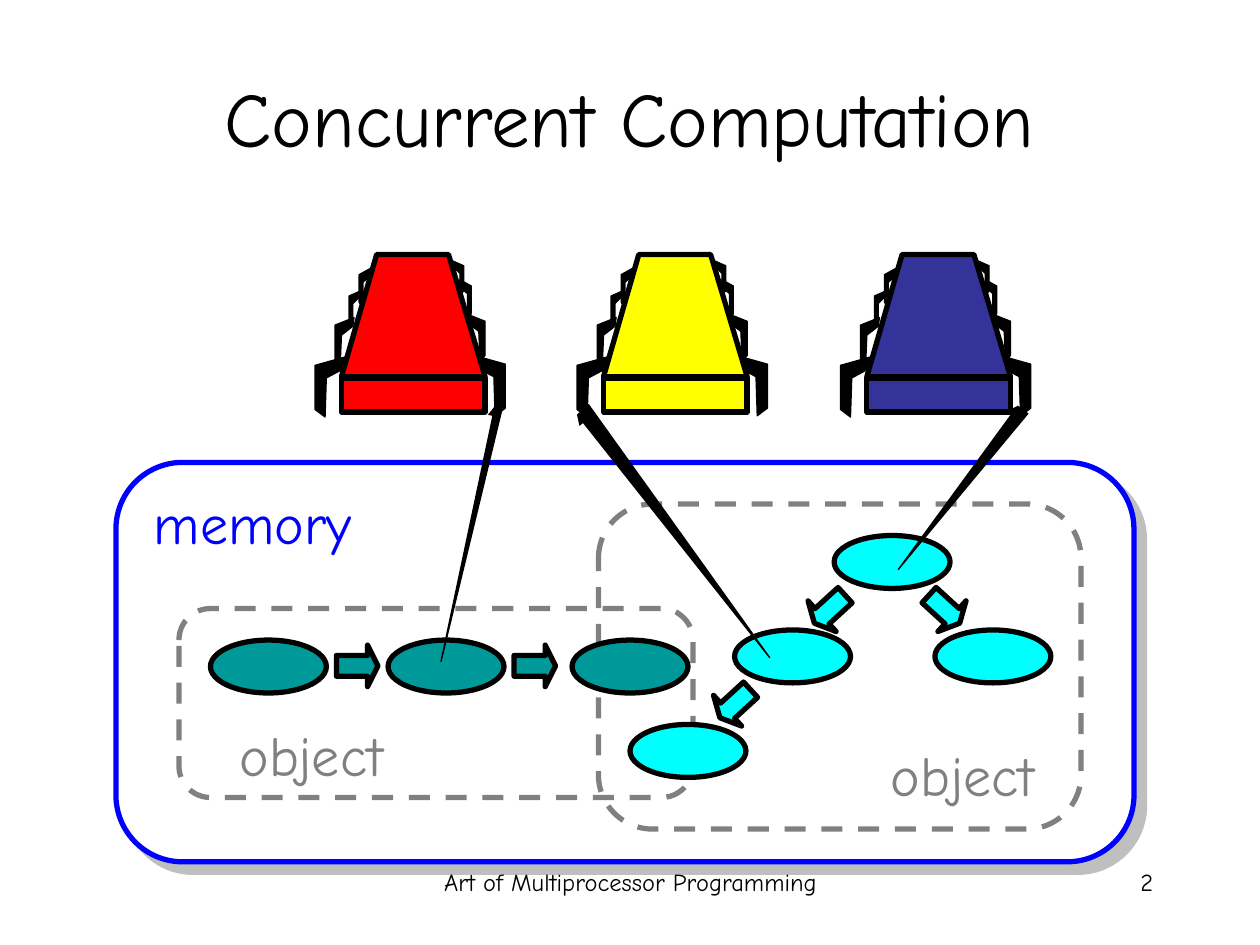
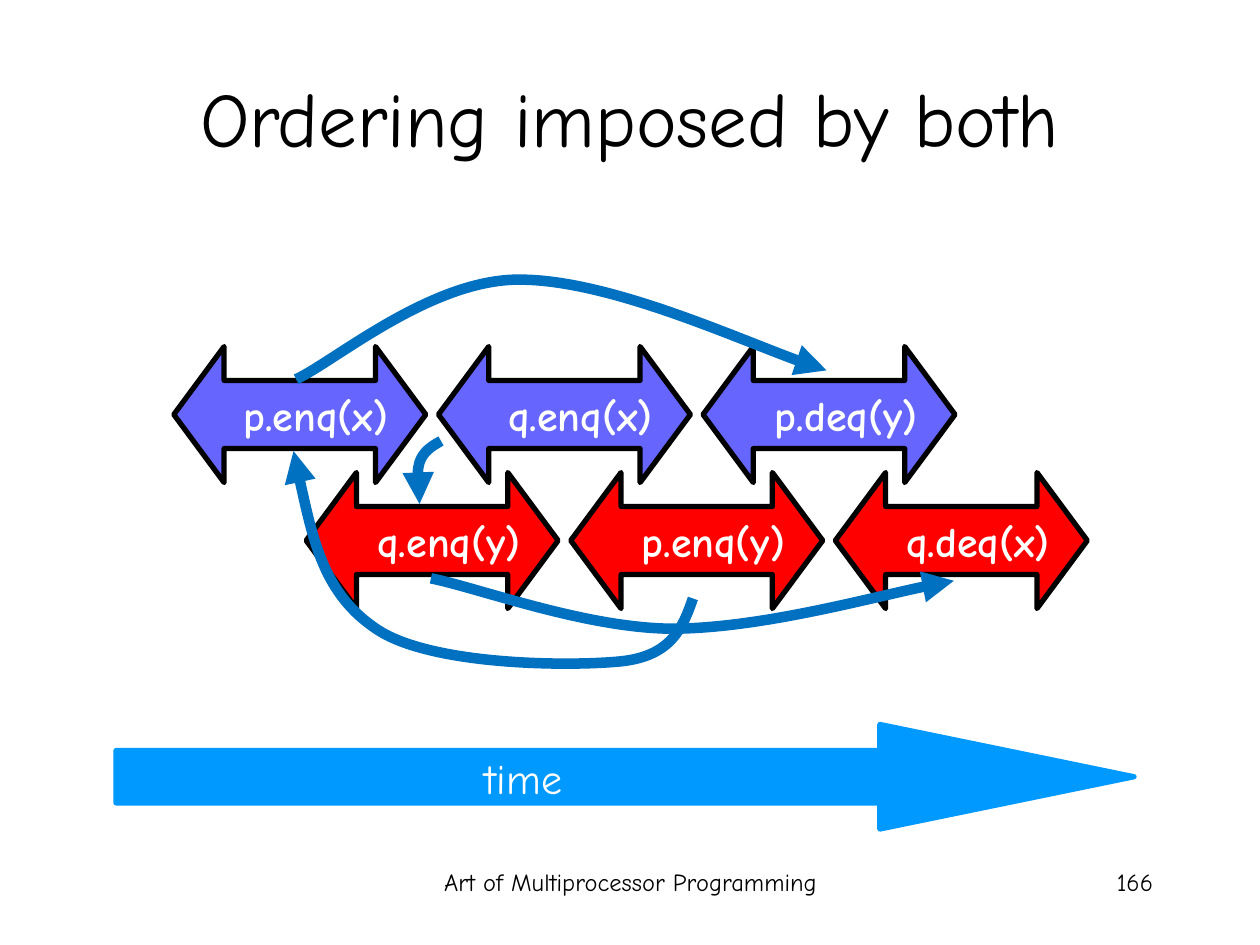
from lxml.etree import SubElement
from pptx import Presentation
from pptx.dml.color import RGBColor
from pptx.enum.dml import MSO_LINE
from pptx.enum.shapes import MSO_SHAPE as Shape
from pptx.enum.text import MSO_ANCHOR as Anchor, PP_ALIGN as Align
from pptx.oxml.ns import qn
from pptx.util import Inches, Pt

FONT = "Comic Neue"
BLACK, WHITE, GRAY = "000000", "FFFFFF", "808080"
RED, TEAL, CYAN = "FF0000", "009999", "00FFFF"


def style(shape, fill, line, width=3):
    """Set fill (None for no fill) and outline, and switch off the theme shadow."""
    shape.shadow.inherit = False
    if fill:
        shape.fill.solid()
        shape.fill.fore_color.rgb = RGBColor.from_string(fill)
    else:
        shape.fill.background()
    shape.line.color.rgb = RGBColor.from_string(line)
    shape.line.width = Pt(width)


def write(shape, text, size, color, align, wrap=False, bold=False):
    tf = shape.text_frame
    tf.word_wrap = wrap
    p = tf.paragraphs[0]
    p.text = text
    p.alignment = align
    p.font.name, p.font.size, p.font.bold = FONT, Pt(size), bold
    p.font.color.rgb = RGBColor.from_string(color)


prs = Presentation()
prs.slide_width, prs.slide_height = Inches(10), Inches(7.5)

# Title, footer and number of both slides
for title, number in (("Concurrent Computation", "2"), ("Ordering imposed by both", "166")):
    s = prs.slides.add_slide(prs.slide_layouts[5])
    sp = s.shapes.title
    sp.left, sp.top, sp.width, sp.height = map(Inches, (0.5, 0.3, 9, 1.25))
    sp.text_frame.vertical_anchor = Anchor.MIDDLE
    write(sp, title, 44, BLACK, Align.CENTER, wrap=True)
    for text, left, width, align in (
        ("Art of Multiprocessor Programming", 3.42, 3.17, Align.CENTER),
        (number, 7.17, 2.08, Align.RIGHT),
    ):
        sp = s.shapes.add_textbox(*map(Inches, (left, 6.83, width, 0.5)))
        write(sp, text, 14, BLACK, align, wrap=True)

# Slide 1: memory with two overlapping objects
shapes = prs.slides[0].shapes
memory = shapes.add_shape(Shape.ROUNDED_RECTANGLE, *map(Inches, (0.92, 3.67, 8.08, 3.17)))
style(memory, WHITE, "0000FF")
effects = memory._element.spPr.find(qn("a:effectLst"))
shadow = SubElement(effects, qn("a:outerShdw"), dist=str(Pt(8.5)), dir="2700000",
                    algn="ctr", rotWithShape="0")
shadow_color = SubElement(shadow, qn("a:srgbClr"), val=GRAY)
SubElement(shadow_color, qn("a:alpha"), val="50000")

for box in ((1.42, 4.83, 4.08, 1.5), (4.75, 4, 3.83, 2.58)):
    sp = shapes.add_shape(Shape.ROUNDED_RECTANGLE, *map(Inches, box))
    style(sp, None, GRAY)
    sp.line.dash_style = MSO_LINE.DASH

for text, color, left, top, width in (
    ("memory", "0000FF", 1.08, 3.83, 1.81),
    ("object", GRAY, 1.58, 5.67, 1.56),
    ("object", GRAY, 6.75, 5.83, 1.56),
):
    sp = shapes.add_textbox(*map(Inches, (left, top, width, 0.63)))
    write(sp, text, 32, color, Align.RIGHT)

for color, left, top in (
    (TEAL, 1.67, 5.08), (TEAL, 3.08, 5.08), (TEAL, 4.54, 5.08),
    (CYAN, 6.62, 4.25), (CYAN, 5.83, 5), (CYAN, 7.42, 5), (CYAN, 5, 5.75),
):
    sp = shapes.add_shape(Shape.OVAL, *map(Inches, (left, top, 0.92, 0.42)))
    style(sp, color, BLACK)

for color, left, top, angle in (
    (TEAL, 2.67, 5.12, 0), (TEAL, 4.08, 5.12, 0),
    (CYAN, 7.33, 4.67, 42.5), (CYAN, 6.42, 4.67, 137.5), (CYAN, 5.67, 5.42, 137.5),
):
    sp = shapes.add_shape(Shape.RIGHT_ARROW, *map(Inches, (left, top, 0.33, 0.33)))
    sp.adjustments[1] = 0.25
    sp.rotation = angle
    style(sp, color, BLACK)

# Threads: each right leg has a mirrored left leg (sum of both x, shift in y)
legs = (
    (((3.76, 2.82), (4.01, 2.89), (4.01, 3.24), (3.93, 3.3), (3.92, 2.99), (3.77, 2.91)), 6.51, 0.01),
    (((3.7, 2.49), (3.85, 2.55), (3.85, 2.82), (3.81, 2.87), (3.8, 2.63), (3.71, 2.56)), 6.51, 0.03),
    (((3.65, 2.22), (3.74, 2.27), (3.74, 2.49), (3.71, 2.53), (3.71, 2.33), (3.65, 2.28)), 6.59, -0.09),
    (((3.59, 2.07), (3.68, 2.11), (3.68, 2.31), (3.65, 2.34), (3.65, 2.17), (3.6, 2.12)), 6.45, 0.24),
)
body = ((2.71, 2.99), (2.99, 2.02), (3.56, 2.02), (3.85, 2.99))
threads = ((RED, 0), ("FFFF00", 2.08), ("333399", 4.17))

outlines = []
for color, shift in threads:
    for leg, mirror, drop in legs:
        outlines.append(([(x + shift, y) for x, y in leg], True, BLACK, 0.75))
        outlines.append(([(mirror - x + shift, y + drop) for x, y in leg], True, BLACK, 0.75))
    outlines.append(([(x + shift, y) for x, y in body], True, color, 3))
for arm in (
    ((4.01, 3.14), (3.5, 5.25), (3.93, 3.22)),
    ((4.67, 3.21), (6.11, 5.22), (4.58, 3.29)),
    ((8.16, 3.28), (7.13, 4.52), (8.08, 3.22)),
):
    outlines.append((arm, False, BLACK, 0.75))

for points, closed, fill, width in outlines:
    start, *rest = [(Inches(x), Inches(y)) for x, y in points]
    builder = shapes.build_freeform(*start)
    builder.add_line_segments(rest, close=closed)
    sp = builder.convert_to_shape()
    style(sp, fill, BLACK, width)
    if not closed:
        SubElement(sp._element.spPr.find(qn("a:ln")), qn("a:tailEnd"), type="triangle")

for color, shift in threads:
    sp = shapes.add_shape(Shape.RECTANGLE, *map(Inches, (2.71 + shift, 3, 1.14, 0.27)))
    style(sp, color, BLACK)

# Slide 2: two rows of method calls above a time line
shapes = prs.slides[1].shapes
for color, left, top, calls in (
    ("6666FF", 1.38, 2.75, ("p.enq(x)", "q.enq(x)", "p.deq(y)")),
    (RED, 2.43, 3.75, ("q.enq(y)", "p.enq(y)", "q.deq(x)")),
):
    for i, call in enumerate(calls):
        sp = shapes.add_shape(Shape.LEFT_RIGHT_ARROW, *map(Inches, (left + 2.1 * i, top, 2, 1.08)))
        sp.adjustments[1] = 0.37
        style(sp, color, BLACK)
        sp.text_frame.vertical_anchor = Anchor.MIDDLE
        write(sp, call, 24, WHITE, Align.RIGHT, bold=True)

time_arrow = shapes.add_shape(Shape.RIGHT_ARROW, *map(Inches, (0.92, 5.75, 8.08, 0.83)))
time_arrow.adjustments[1] = 2.43
style(time_arrow, "0099FF", "0099FF")
sp = shapes.add_textbox(*map(Inches, (3.67, 5.92, 0.89, 0.5)))
write(sp, "time", 24, WHITE, Align.RIGHT)

# Ordering curves: a start point, then three points for each Bézier segment
for points in (
    ((3.33, 4), (3.32, 3.88), (3.31, 3.75), (3.33, 3.67), (3.36, 3.58), (3.43, 3.54), (3.5, 3.5)),
    ((7.57, 4.61), (7.19, 4.67), (6.01, 4.99), (5.32, 4.99), (4.63, 4.98), (3.81, 4.67), (3.42, 4.59)),
    ((6.56, 2.94), (6.15, 2.82), (4.8, 2.21), (4.1, 2.22), (3.4, 2.23), (2.64, 2.88), (2.35, 3.01)),
    ((2.33, 3.58), (2.45, 4.15), (2.57, 4.72), (3, 5), (3.43, 5.28), (4.5, 5.29), (4.92, 5.25),
     (5.33, 5.21), (5.42, 4.98), (5.5, 4.75)),
):
    start, *rest = [(Inches(x), Inches(y)) for x, y in points]
    builder = shapes.build_freeform(*start)
    builder.add_line_segments(rest, close=False)
    sp = builder.convert_to_shape()
    style(sp, None, "0070C0", 6)
    SubElement(sp._element.spPr.find(qn("a:ln")), qn("a:headEnd"), type="triangle")
    outline = next(sp._element.iter(qn("a:path")))
    for i, segment in enumerate(outline.findall(qn("a:lnTo"))):
        if i % 3 == 0:
            curve = SubElement(outline, qn("a:cubicBezTo"))
        curve.append(segment[0])
        outline.remove(segment)

prs.save("out.pptx")
